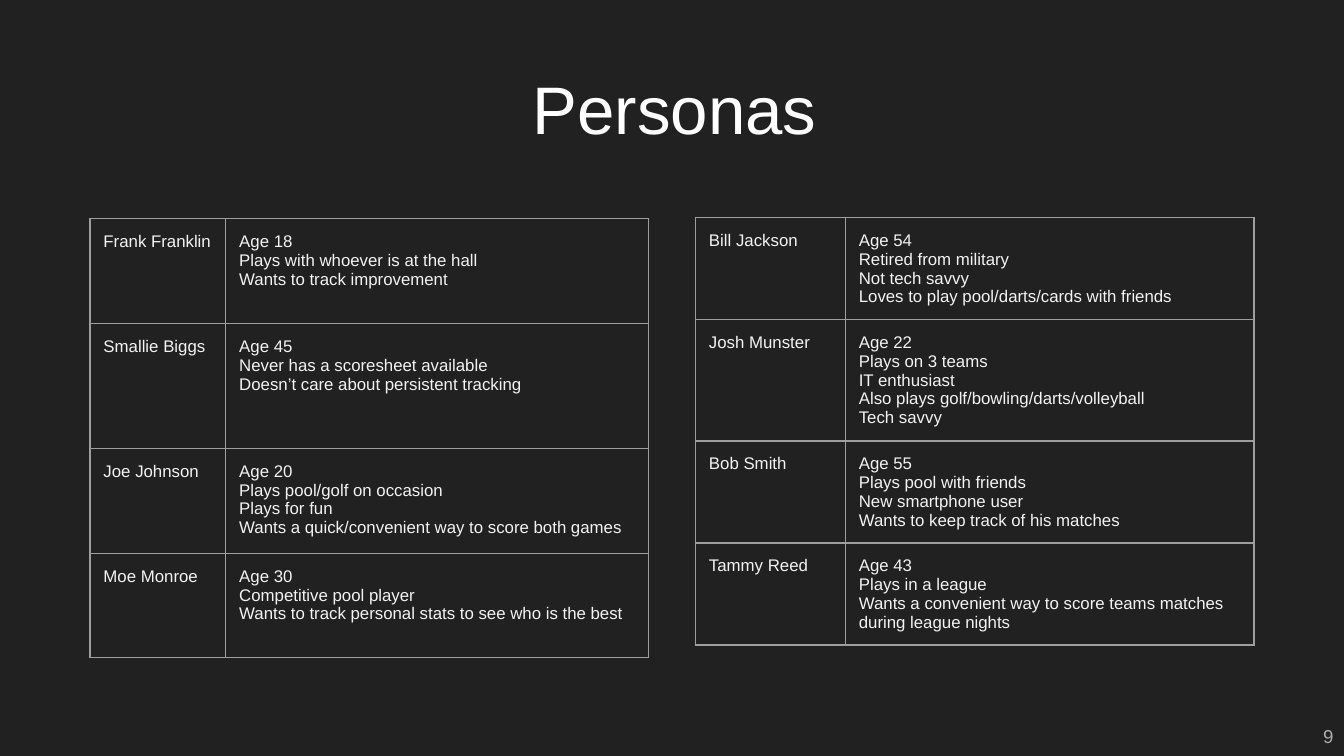
"""Build the Personas slide: a title, two persona tables and a page number."""
import dataclasses

import lxml.etree
import pptx
import pptx.dml.color
import pptx.enum.text
import pptx.oxml.ns
import pptx.util


@dataclasses.dataclass(frozen=True)
class Theme:
    font: str = "Arial"
    background: str = "212121"
    title: str = "FFFFFF"
    body: str = "F3F3F3"
    muted: str = "ADADAD"
    border: str = "9E9E9E"
    title_size: float = 36
    body_size: float = 9
    page_size: float = 10
    border_width: float = 0.75


theme = Theme()
persona_tables = [
    {
        "left": 6.7, "top": 28.95, "columns": [10.1, 31.45], "rows": [13.9, 16.5, 13.9, 13.7],
        "personas": {
            "Frank Franklin": ["Age 18", "Plays with whoever is at the hall", "Wants to track improvement"],
            "Smallie Biggs": ["Age 45", "Never has a scoresheet available", "Doesn’t care about persistent tracking"],
            "Joe Johnson": ["Age 20", "Plays pool/golf on occasion", "Plays for fun",
                            "Wants a quick/convenient way to score both games"],
            "Moe Monroe": ["Age 30", "Competitive pool player",
                           "Wants to track personal stats to see who is the best"],
        },
    },
    {
        "left": 51.75, "top": 28.8, "columns": [11.15, 30.4], "rows": [13.5, 16, 13.5, 13.5],
        "personas": {
            "Bill Jackson": ["Age 54", "Retired from military", "Not tech savvy",
                             "Loves to play pool/darts/cards with friends"],
            "Josh Munster": ["Age 22", "Plays on 3 teams", "IT enthusiast",
                             "Also plays golf/bowling/darts/volleyball", "Tech savvy"],
            "Bob Smith": ["Age 55", "Plays pool with friends", "New smartphone user",
                          "Wants to keep track of his matches"],
            "Tammy Reed": ["Age 43", "Plays in a league",
                           "Wants a convenient way to score teams matches during league nights"],
        },
    },
]

deck = pptx.Presentation()
deck.slide_width = pptx.util.Inches(10)
deck.slide_height = deck.slide_width * 9 // 16
column = deck.slide_width / 100
row = deck.slide_height / 100
inset = pptx.util.Inches(0.1)


def format_text(holder, text_frame, size, color, align, anchor):
    """Style every run of a text frame; the holder carries margins and anchor."""
    holder.margin_left = holder.margin_right = inset
    holder.margin_top = holder.margin_bottom = inset
    holder.vertical_anchor = anchor
    for paragraph in text_frame.paragraphs:
        paragraph.alignment = align
        paragraph.line_spacing = 1.0
        paragraph.space_before = paragraph.space_after = pptx.util.Pt(0)
        for run in paragraph.runs:
            run.font.name = theme.font
            run.font.size = pptx.util.Pt(size)
            run.font.bold = False
            run.font.color.rgb = pptx.dml.color.RGBColor.from_string(color)


def border_cell(cell):
    """Outline a cell on all four sides and leave its inside unfilled."""
    cell.fill.background()
    properties = cell._tc.get_or_add_tcPr()
    for position, side in enumerate(("lnL", "lnR", "lnT", "lnB")):
        line = lxml.etree.Element(pptx.oxml.ns.qn(f"a:{side}"), w=str(pptx.util.Pt(theme.border_width)))
        fill = lxml.etree.SubElement(line, pptx.oxml.ns.qn("a:solidFill"))
        lxml.etree.SubElement(fill, pptx.oxml.ns.qn("a:srgbClr"), val=theme.border)
        properties.insert(position, line)


Align = pptx.enum.text.PP_ALIGN
Anchor = pptx.enum.text.MSO_ANCHOR

slide = deck.slides.add_slide(deck.slide_layouts.get_by_name("Title Only"))
slide.background.fill.solid()
slide.background.fill.fore_color.rgb = pptx.dml.color.RGBColor.from_string(theme.background)

heading = slide.shapes.title
heading.left, heading.top = int(3.6 * column), int(6 * row)
heading.width, heading.height = int(93.2 * column), int(16.4 * row)
heading.text_frame.text = "Personas"
format_text(heading.text_frame, heading.text_frame, theme.title_size, theme.title, Align.CENTER, Anchor.MIDDLE)

page_number = slide.shapes.add_textbox(
    int(97.1 * column), int(94.3 * row), int(3.1 * column), int(6 * row)).text_frame
page_number.word_wrap = True
page_number.text = "9"
format_text(page_number, page_number, theme.page_size, theme.muted, Align.RIGHT, Anchor.BOTTOM)

for group in persona_tables:
    grid = slide.shapes.add_table(
        len(group["rows"]), len(group["columns"]),
        int(group["left"] * column), int(group["top"] * row),
        int(sum(group["columns"]) * column), int(sum(group["rows"]) * row)).table
    grid.first_row = grid.horz_banding = False
    for grid_column, share in zip(grid.columns, group["columns"]):
        grid_column.width = int(share * column)
    for grid_row, share, (name, traits) in zip(grid.rows, group["rows"], group["personas"].items()):
        grid_row.height = int(share * row)
        for cell, content in zip(grid_row.cells, (name, "\n".join(traits))):
            cell.text_frame.text = content
            format_text(cell, cell.text_frame, theme.body_size, theme.body, Align.LEFT, Anchor.TOP)
            cell.margin_bottom = inset // 2
            border_cell(cell)

deck.save("out.pptx")
